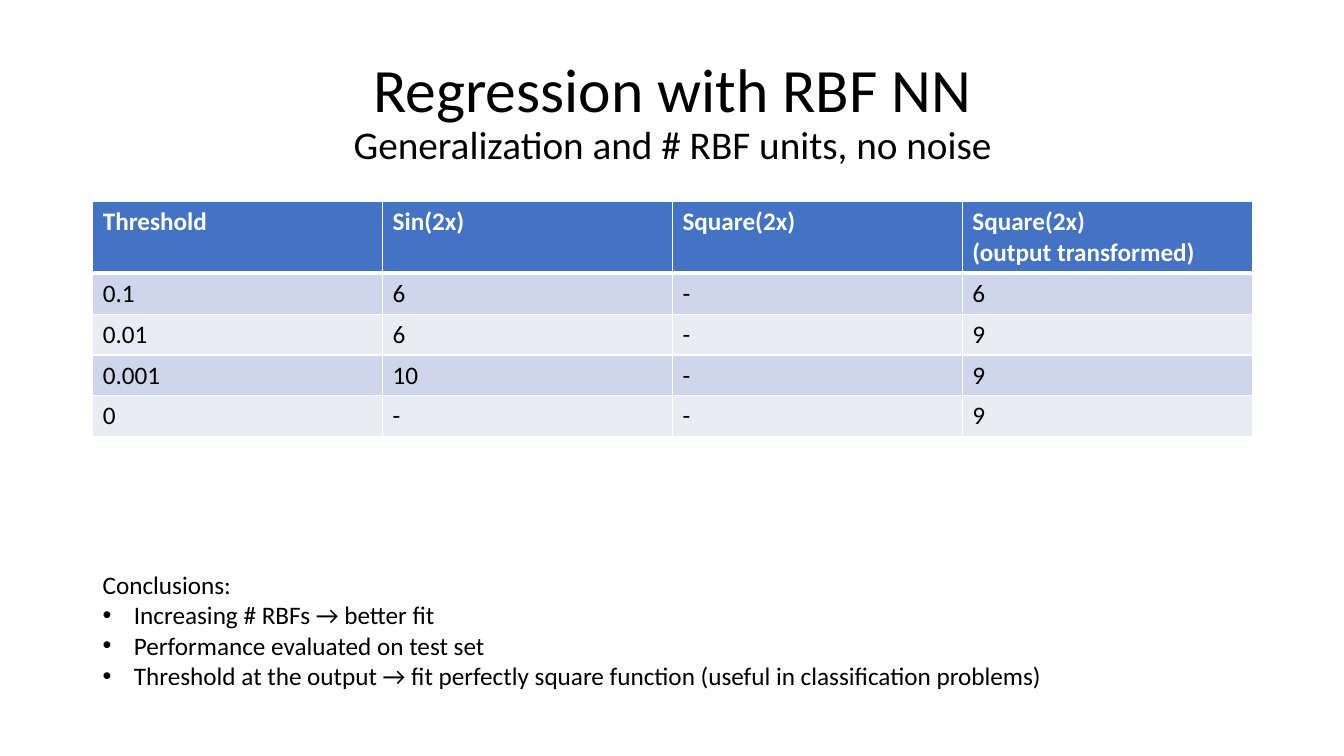
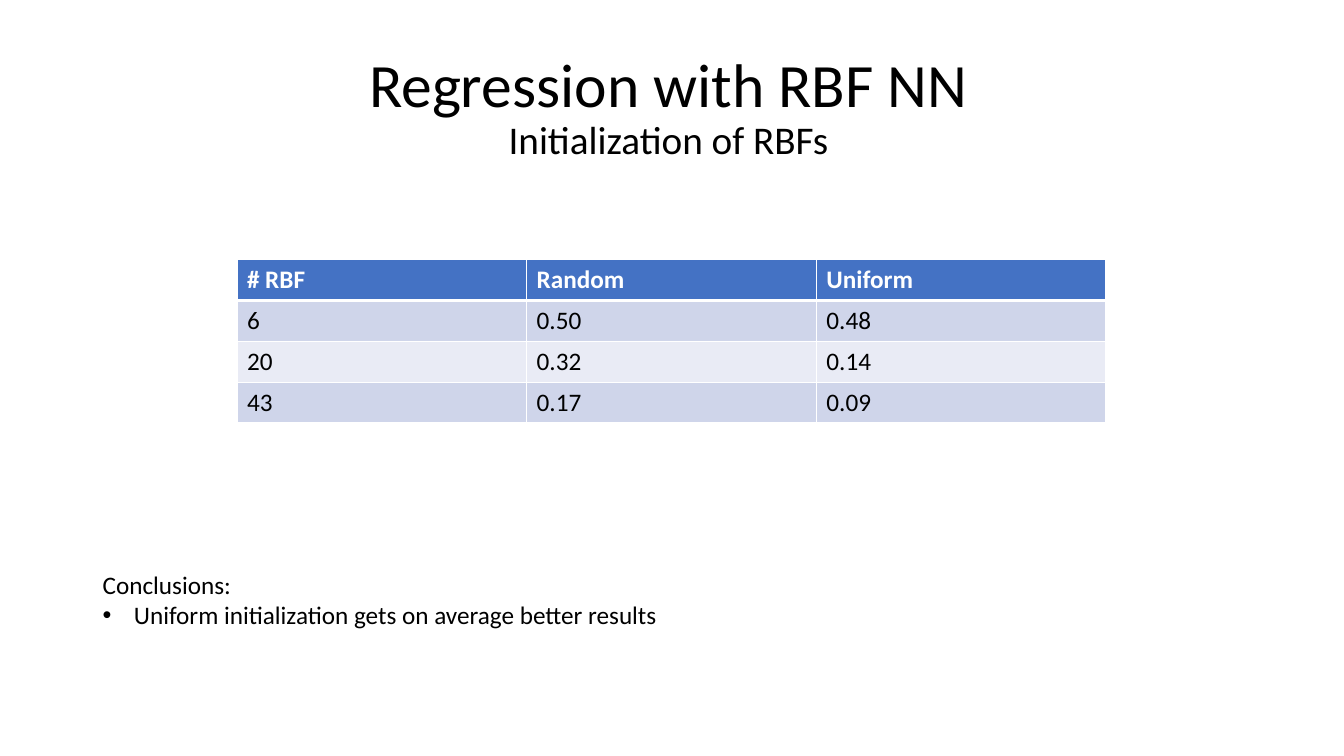
from pptx import Presentation
from pptx.dml.color import RGBColor
from pptx.enum.text import MSO_ANCHOR, MSO_AUTO_SIZE, PP_ALIGN
from pptx.oxml.ns import qn
from pptx.util import Inches, Pt
from lxml import etree

BLACK = RGBColor(0x00, 0x00, 0x00)
WHITE = RGBColor(0xFF, 0xFF, 0xFF)
HEADER = RGBColor(0x44, 0x72, 0xC4)
BANDS = (RGBColor(0xCF, 0xD5, 0xEA), RGBColor(0xE9, 0xEB, 0xF5))
FONT = "Calibri"
TITLE = "Regression with RBF NN"
INDENT = Inches(0.31)

SLIDES = [
    {
        "subtitle": "Generalization and # RBF units, no noise",
        "title_box": (0.92, 0.4, 11.5, 1.45),
        "table_box": (0.92, 2, 11.5, 2.32),
        "header_height": 0.7,
        "rows": [
            ("Threshold", "Sin(2x)", "Square(2x)", "Square(2x)\n(output transformed)"),
            ("0.1", "6", "-", "6"),
            ("0.01", "6", "-", "9"),
            ("0.001", "10", "-", "9"),
            ("0", "-", "-", "9"),
        ],
        "conclusions_box": (0.92, 5.6, 11.5, 1.31),
        "conclusions": [
            "Increasing # RBFs → better fit",
            "Performance evaluated on test set",
            "Threshold at the output → fit perfectly square function "
            "(useful in classification problems)",
        ],
    },
    {
        "subtitle": "Initialization of RBFs",
        "title_box": (0.88, 0.35, 11.5, 1.45),
        "table_box": (2.35, 2.57, 8.62, 1.62),
        "header_height": 0.41,
        "rows": [
            ("# RBF", "Random", "Uniform"),
            ("6", "0.50", "0.48"),
            ("20", "0.32", "0.14"),
            ("43", "0.17", "0.09"),
        ],
        "conclusions_box": (0.92, 5.6, 11.5, 0.71),
        "conclusions": ["Uniform initialization gets on average better results"],
    },
]


def set_font(font, size, color=BLACK, bold=False):
    """Apply the shared font with the given size, colour and weight."""
    for name, value in {"name": FONT, "size": Pt(size), "bold": bold}.items():
        setattr(font, name, value)
    font.color.rgb = color


def add_title(s, box, subtitle):
    """Place the title with its smaller second line."""
    sp = s.shapes.title
    sp.left, sp.top, sp.width, sp.height = map(Inches, box)
    tf = sp.text_frame
    formats = {
        "word_wrap": True,
        "auto_size": MSO_AUTO_SIZE.NONE,
        "vertical_anchor": MSO_ANCHOR.MIDDLE,
    }
    for name, value in formats.items():
        setattr(tf, name, value)
    p = tf.paragraphs[0]
    p.alignment, p.line_spacing = PP_ALIGN.CENTER, 0.9
    for text, size in ((TITLE, 44), (subtitle, 28)):
        if p.runs:
            p.add_line_break()
        r = p.add_run()
        r.text = text
        set_font(r.font, size)


def set_borders(cell, bottom):
    """Draw white cell borders, with the bottom one of the given width."""
    tc_pr = cell._tc.get_or_add_tcPr()
    for side, width in {"L": 1, "R": 1, "T": 1, "B": bottom}.items():
        ln = etree.SubElement(tc_pr, qn(f"a:ln{side}"), w=str(Pt(width)))
        fill = etree.SubElement(ln, qn("a:solidFill"))
        etree.SubElement(fill, qn("a:srgbClr"), val=str(WHITE))


def add_results(s, box, rows, header_height):
    """Place a table with a header row and banded body rows."""
    n_rows, n_cols = len(rows), len(rows[0])
    table = s.shapes.add_table(n_rows, n_cols, *map(Inches, box)).table
    for column in table.columns:
        column.width = Inches(box[2] / n_cols)
    body_height = (box[3] - header_height) / (n_rows - 1)
    for i, values in enumerate(rows):
        header = i == 0
        table.rows[i].height = Inches(header_height if header else body_height)
        for j, value in enumerate(values):
            cell = table.cell(i, j)
            cell.text = value
            set_borders(cell, 3 if header else 1)
            cell.fill.solid()
            cell.fill.fore_color.rgb = HEADER if header else BANDS[(i - 1) % 2]
            for p in cell.text_frame.paragraphs:
                set_font(p.runs[0].font, 18, WHITE if header else BLACK, header)


def add_bullet(p):
    """Give a paragraph a hanging round bullet."""
    p_pr = p._p.get_or_add_pPr()
    p_pr.set("marL", str(INDENT))
    p_pr.set("indent", str(-INDENT))
    etree.SubElement(p_pr, qn("a:buFont"), typeface="Arial")
    etree.SubElement(p_pr, qn("a:buChar"), char="•")


def add_conclusions(s, box, points):
    """Place the conclusions heading and its bullet points."""
    tf = s.shapes.add_textbox(*map(Inches, box)).text_frame
    tf.word_wrap = True
    tf.auto_size = MSO_AUTO_SIZE.SHAPE_TO_FIT_TEXT
    tf.text = "\n".join(["Conclusions:", *points])
    for i, p in enumerate(tf.paragraphs):
        set_font(p.runs[0].font, 18)
        if i:
            add_bullet(p)


def add_results_slide(prs, content):
    """Build one slide from its title, table and conclusions."""
    s = prs.slides.add_slide(prs.slide_layouts[5])
    add_title(s, content["title_box"], content["subtitle"])
    add_results(s, content["table_box"], content["rows"], content["header_height"])
    add_conclusions(s, content["conclusions_box"], content["conclusions"])


def main():
    """Build and save the presentation."""
    prs = Presentation()
    prs.slide_width, prs.slide_height = Inches(13.33), Inches(7.5)
    for content in SLIDES:
        add_results_slide(prs, content)
    prs.save("out.pptx")


if __name__ == "__main__":
    main()
